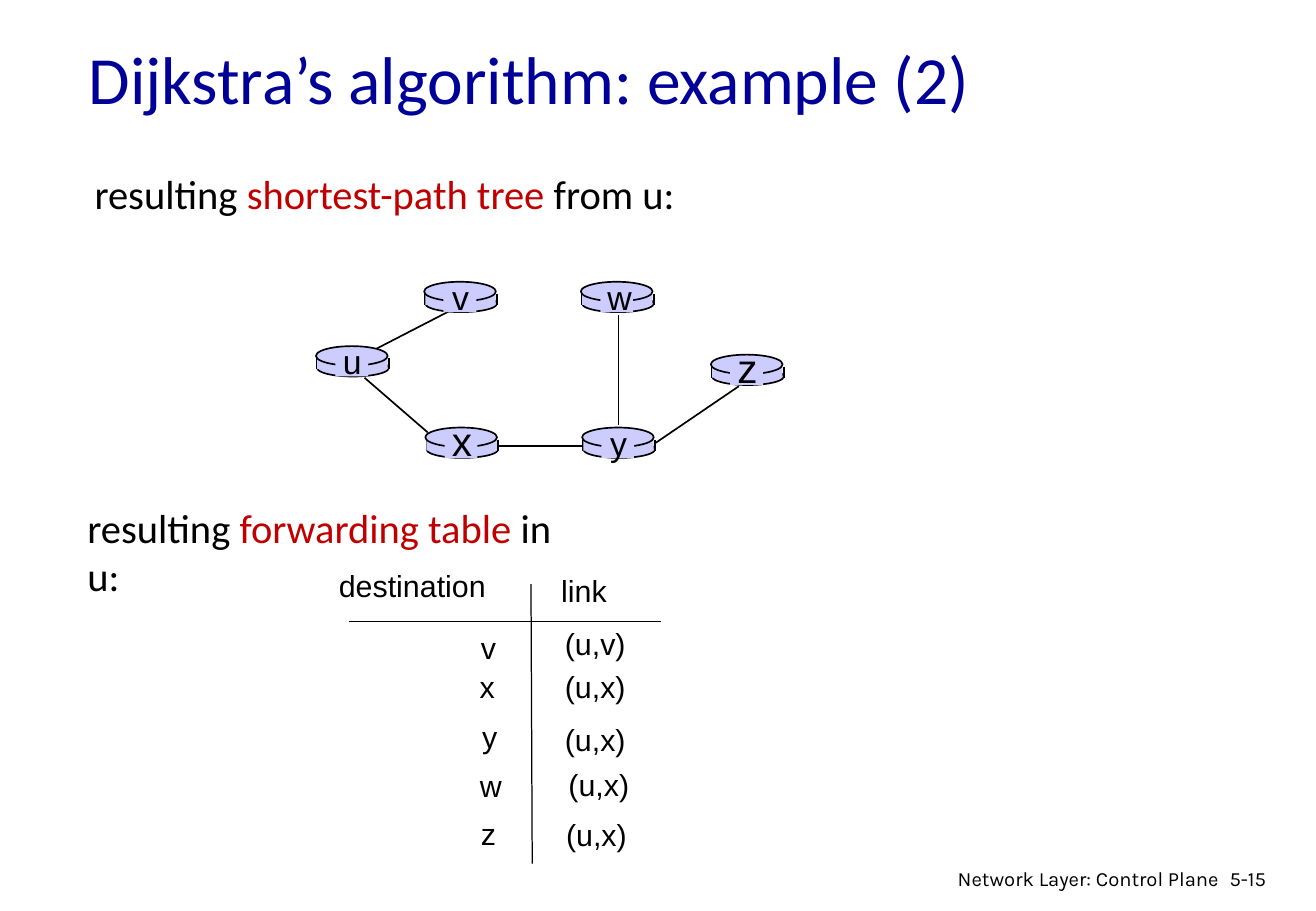
from typing import NamedTuple

from lxml.etree import SubElement
from pptx import Presentation
from pptx.dml.color import RGBColor
from pptx.enum.shapes import MSO_CONNECTOR, MSO_SHAPE
from pptx.enum.text import MSO_ANCHOR, MSO_AUTO_SIZE, PP_ALIGN
from pptx.oxml.ns import qn
from pptx.slide import Slide
from pptx.util import Inches, Pt

BLACK, NAVY, RED, LILAC = "000000", "000099", "C00000", "CCCCFF"
LABEL_HEIGHT = 0.4


class Router(NamedTuple):
    name: str
    left: float
    top: float
    size: int = 20
    label_middle: float = 0.13


class Line(NamedTuple):
    x1: float
    y1: float
    x2: float
    y2: float


class TableRow(NamedTuple):
    destination: str
    left: float
    top: float
    link: str
    link_left: float
    link_top: float


class Span(NamedTuple):
    text: str
    color: str = BLACK


ROUTERS = [
    Router("u", 2.6, 2.85),
    Router("x", 3.5, 3.52, 24, 0.11),
    Router("v", 3.49, 2.32),
    Router("w", 4.78, 2.32),
    Router("y", 4.79, 3.52),
    Router("z", 5.85, 2.92, 24, 0.11),
]
LINKS = [
    Line(3.1, 2.87, 3.74, 2.54),
    Line(5.09, 2.59, 5.09, 3.5),
    Line(5.39, 3.65, 6.08, 3.18),
    Line(4.8, 3.67, 4.11, 3.67),
    Line(3.52, 3.56, 3, 3.11),
]
TABLE_RULES = [Line(4.37, 4.81, 4.38, 7.11), Line(2.87, 5.12, 5.44, 5.12)]
TABLE_ROWS = [
    TableRow("destination", 2.69, 4.62, "link", 4.52, 4.66),
    TableRow("v", 3.86, 5.13, "(u,v)", 4.55, 5.1),
    TableRow("x", 3.85, 5.45, "(u,x)", 4.55, 5.45),
    TableRow("y", 3.87, 5.86, "(u,x)", 4.55, 5.89),
    TableRow("w", 3.85, 6.27, "(u,x)", 4.58, 6.26),
    TableRow("z", 3.86, 6.66, "(u,x)", 4.56, 6.67),
]
TEXT_WIDTHS = {"destination": 1.42, "link": 0.58, "w": 0.38}


def rgb(color: str) -> RGBColor:
    return RGBColor.from_string(color)


def add_line(page: Slide, line: Line, width: float = 1) -> None:
    connector = page.shapes.add_connector(
        MSO_CONNECTOR.STRAIGHT, *(Inches(value) for value in line))
    connector.line.color.rgb = rgb(BLACK)
    connector.line.width = Pt(width)
    SubElement(connector._element.spPr, qn("a:effectLst"))


def add_lilac(page: Slide, kind: MSO_SHAPE, left: float, top: float,
              width: float, height: float) -> None:
    """Add a lilac shape; only ellipses are outlined."""
    shape = page.shapes.add_shape(
        kind, Inches(left), Inches(top), Inches(width), Inches(height))
    shape.shadow.inherit = False
    shape.fill.solid()
    shape.fill.fore_color.rgb = rgb(LILAC)
    if kind == MSO_SHAPE.OVAL:
        shape.line.color.rgb = rgb(BLACK)
        shape.line.width = Pt(1)
    else:
        shape.line.fill.background()


def add_text(page: Slide, spans: list[Span], left: float, top: float,
             width: float, height: float, size: int, font: str = "Arial",
             align: PP_ALIGN = PP_ALIGN.LEFT, wrap: bool = False) -> None:
    box = page.shapes.add_textbox(
        Inches(left), Inches(top), Inches(width), Inches(height))
    frame = box.text_frame
    frame.word_wrap = wrap
    frame.auto_size = MSO_AUTO_SIZE.NONE if wrap else MSO_AUTO_SIZE.SHAPE_TO_FIT_TEXT
    para = frame.paragraphs[0]
    para.alignment = align
    para.font.size = Pt(size)
    para.font.name = font
    for span in spans:
        run = para.add_run()
        run.text = span.text
        run.font.color.rgb = rgb(span.color)


def add_router(page: Slide, router: Router) -> None:
    left, top = router.left, router.top
    add_lilac(page, MSO_SHAPE.OVAL, left + 0.01, top + 0.11, 0.59, 0.14)
    for side in (left + 0.01, left + 0.6):
        add_line(page, Line(side, top + 0.1, side, top + 0.19))
    add_lilac(page, MSO_SHAPE.RECTANGLE, left + 0.01, top + 0.1, 0.58, 0.09)
    add_lilac(page, MSO_SHAPE.OVAL, left, top, 0.59, 0.16)


def add_router_label(page: Slide, router: Router) -> None:
    center, middle = router.left + 0.3, router.top + router.label_middle
    add_lilac(page, MSO_SHAPE.RECTANGLE, center - 0.14, router.top + 0.02, 0.27, 0.23)
    height = 0.44 if router.size == 20 else 0.51
    add_text(page, [Span(router.name)], center - 0.18, middle - height / 2,
             0.36, height, router.size, align=PP_ALIGN.CENTER)


def add_title(page: Slide, text: str) -> None:
    title = page.shapes.title
    title.left, title.top = Inches(0.63), Inches(0.17)
    title.width, title.height = Inches(9.21), Inches(0.93)
    title.text_frame.text = text
    title.text_frame.vertical_anchor = MSO_ANCHOR.MIDDLE
    para = title.text_frame.paragraphs[0]
    para.alignment = PP_ALIGN.LEFT
    para.font.size = Pt(40)
    para.font.name = "Calibri"
    para.font.color.rgb = rgb(NAVY)


def add_forwarding_table(page: Slide) -> None:
    for rule in TABLE_RULES:
        add_line(page, rule, 0.75)
    for row in TABLE_ROWS:
        add_text(page, [Span(row.destination)], row.left, row.top,
                 TEXT_WIDTHS.get(row.destination, 0.33), LABEL_HEIGHT, 18)
        add_text(page, [Span(row.link)], row.link_left, row.link_top,
                 TEXT_WIDTHS.get(row.link, 0.71), LABEL_HEIGHT, 18)


def main() -> None:
    deck = Presentation()
    deck.slide_width, deck.slide_height = Inches(10.83), Inches(7.5)
    page = deck.slides.add_slide(deck.slide_layouts[5])
    add_title(page, "Dijkstra’s algorithm: example (2)")

    for link in LINKS:
        add_line(page, link)
    for router in ROUTERS:
        add_router(page, router)
    for router in ROUTERS:
        add_router_label(page, router)
    add_text(page, [Span("resulting "), Span("shortest-path tree ", RED), Span("from u:")],
             0.68, 1.34, 5.03, 0.5, 24, "Calibri")

    add_forwarding_table(page)
    add_text(page, [Span("resulting "), Span("forwarding table", RED), Span(" in u:")],
             0.62, 4.09, 4.25, 0.5, 24, "Calibri", wrap=True)

    add_text(page, [Span("5-15")], 10.02, 7.08, 0.65, 0.3, 12, "Karla", wrap=True)
    add_text(page, [Span("Network Layer: Control Plane")], 7.55, 7.08, 2.58, 0.26,
             12, "Karla", PP_ALIGN.RIGHT, wrap=True)
    deck.save("out.pptx")


if __name__ == "__main__":
    main()
